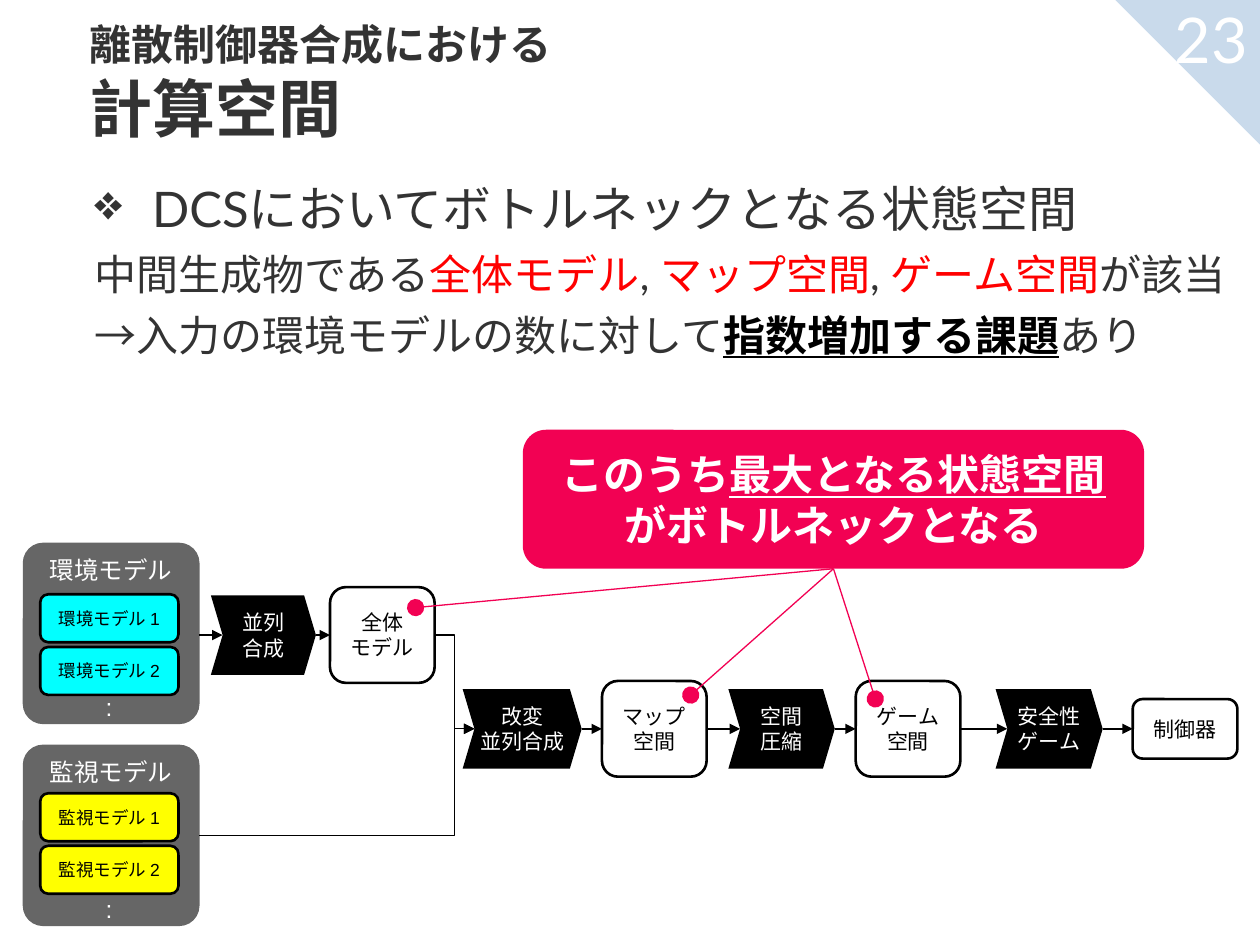
"""Builds the slide on the state spaces of discrete controller synthesis."""
from typing import NamedTuple

from lxml.etree import SubElement
from pptx import Presentation
from pptx.dml.color import RGBColor
from pptx.enum.shapes import MSO_CONNECTOR, MSO_SHAPE
from pptx.enum.text import MSO_ANCHOR, PP_ALIGN
from pptx.oxml.ns import qn
from pptx.util import Pt

COLORS = {
    "ink": "333333", "black": "000000", "white": "FFFFFF", "gray": "666666",
    "cyan": "02FFFF", "yellow": "FFFF00", "red": "FF0000", "pink": "F20153",
    "corner": "C9DAEB",
}
UPPER, LOWER = 362.9, 416.5


class Span(NamedTuple):
    text: str
    size: float
    color: str = "ink"
    font: str = "Arial"
    bold: bool = False
    underline: bool = False


class Node(NamedTuple):
    kind: MSO_SHAPE
    left: float
    middle: float
    width: float
    height: float
    fill: str
    paras: list
    border: str | None = None
    adjustment: float | None = None
    anchor: MSO_ANCHOR = MSO_ANCHOR.MIDDLE
    wrap: bool = True


class Link(NamedTuple):
    start: tuple
    end: tuple
    color: str = "black"
    tail: str = "triangle"
    tail_size: str = "med"
    bend: float | None = None


def rgb(name: str) -> RGBColor:
    return RGBColor.from_string(COLORS[name])


def add_spans(para, spans: list) -> None:
    for item in spans:
        span = para.add_run()
        span.text = item.text
        span.font.size = Pt(item.size)
        span.font.name = item.font
        span.font.bold = item.bold
        span.font.underline = item.underline
        span.font.color.rgb = rgb(item.color)


def fill_text(frame, paras: list, align: PP_ALIGN) -> None:
    for index, spans in enumerate(paras):
        para = frame.add_paragraph() if index else frame.paragraphs[0]
        para.alignment = align
        add_spans(para, spans)


def draw_node(page, node: Node) -> None:
    box = page.shapes.add_shape(
        node.kind, Pt(node.left), Pt(node.middle - node.height / 2),
        Pt(node.width), Pt(node.height))
    box.shadow.inherit = False
    box.fill.solid()
    box.fill.fore_color.rgb = rgb(node.fill)
    if node.border:
        box.line.color.rgb = rgb(node.border)
        box.line.width = Pt(1.5)
    else:
        box.line.fill.background()
    if node.adjustment is not None:
        box.adjustments[0] = node.adjustment
    box.text_frame.word_wrap = node.wrap
    box.text_frame.vertical_anchor = node.anchor
    fill_text(box.text_frame, node.paras, PP_ALIGN.CENTER)


def draw_link(page, link: Link) -> None:
    kind = MSO_CONNECTOR.STRAIGHT if link.bend is None else MSO_CONNECTOR.ELBOW
    line = page.shapes.add_connector(kind, *map(Pt, link.start + link.end))
    line.line.color.rgb = rgb(link.color)
    line.line.width = Pt(0.75)
    properties = line.line._get_or_add_ln()
    SubElement(properties, qn("a:tailEnd"), type=link.tail,
               w=link.tail_size, len=link.tail_size)
    shape_properties = properties.getparent()
    SubElement(shape_properties, qn("a:effectLst"))
    if link.bend is not None:
        guides = shape_properties.find(qn("a:prstGeom")).get_or_add_avLst()
        SubElement(guides, qn("a:gd"), name="adj1", fmla=f"val {round(link.bend * 100000)}")


def add_text(page, left: float, top: float, width: float, height: float, paras: list,
             align: PP_ALIGN = PP_ALIGN.LEFT, anchor: MSO_ANCHOR = MSO_ANCHOR.TOP,
             inset: float = 7.2, wrap: bool = True):
    frame = page.shapes.add_textbox(Pt(left), Pt(top), Pt(width), Pt(height)).text_frame
    frame.word_wrap = wrap
    frame.vertical_anchor = anchor
    frame.margin_left = frame.margin_right = Pt(7.2)
    frame.margin_top = frame.margin_bottom = Pt(inset)
    fill_text(frame, paras, align)
    return frame


def set_indent(para, margin: float, indent: float) -> None:
    properties = para._p.get_or_add_pPr()
    properties.set("marL", str(Pt(margin)))
    properties.set("indent", str(Pt(indent)))


def lines(text: str, size: float, color: str) -> list:
    return [[Span(part, size, color)] for part in text.split("\n")]


def group(middle: float, title: str) -> Node:
    return Node(MSO_SHAPE.ROUNDED_RECTANGLE, 13, middle, 101, 103.7, "gray",
                lines(title, 14, "white"), adjustment=0.115, anchor=MSO_ANCHOR.TOP)


def model(middle: float, fill: str, title: str) -> Node:
    return Node(MSO_SHAPE.ROUNDED_RECTANGLE, 23, middle, 79, 27.4, fill,
                lines(title, 10, "black"), border="black")


def space(left: float, middle: float, title: str, height: float = 54.7) -> Node:
    return Node(MSO_SHAPE.ROUNDED_RECTANGLE, left, middle, 59.8, height, "white",
                lines(title, 12, "black"), border="black")


def process(left: float, middle: float, width: float, title: str) -> Node:
    return Node(MSO_SHAPE.CHEVRON, left, middle, width, 45.4, "black",
                lines(title, 12, "white"), adjustment=0.148, wrap=False)


def draw_corner(page) -> None:
    corner = page.shapes.add_shape(MSO_SHAPE.RIGHT_TRIANGLE, Pt(636), Pt(-1.4), Pt(85), Pt(85))
    corner.rotation = 180
    corner.shadow.inherit = False
    corner.fill.solid()
    corner.fill.fore_color.rgb = rgb("corner")
    corner.line.fill.background()
    add_text(page, 661.7, -7.2, 61.2, 54, [[Span("23", 36, "white", "Lato")]], PP_ALIGN.CENTER)


def draw_body(page) -> None:
    def body(text: str, color: str = "ink", size: float = 24, strong: bool = False) -> Span:
        return Span(text, size, color, "Lato", strong, strong)

    frame = add_text(page, 43.9, 95, 676.1, 211.7, [
        [body("DCSにおいてボトルネックとなる状態空間", size=28)],
        [body("中間生成物である"), body("全体モデル", "red"), body(", "),
         body("マップ空間", "red"), body(", "), body("ゲーム空間", "red"), body("が該当")],
        [body("→入力の環境モデルの数に対して"),
         body("指数増加する課題", "black", strong=True), body("あり")],
    ])
    heading, *details = frame.paragraphs
    set_indent(heading, 36, -33.1)
    properties = heading._p.get_or_add_pPr()
    color = SubElement(properties, qn("a:buClr"))
    SubElement(color, qn("a:srgbClr"), val=COLORS["ink"])
    SubElement(properties, qn("a:buChar"), char="❖")
    for para in details:
        set_indent(para, 2.9, 0)
        para.space_before = Pt(6)


def main() -> None:
    deck = Presentation()
    deck.slide_width, deck.slide_height = Pt(720), Pt(540)
    page = deck.slides.add_slide(deck.slide_layouts[6])

    callout = Node(
        MSO_SHAPE.ROUNDED_RECTANGLE, 298.8, 285.3, 355, 79.4, "pink",
        [[Span("このうち", 24, "white", bold=True),
          Span("最大となる状態空間", 24, "white", bold=True, underline=True),
          Span("がボトルネックとなる", 24, "white", bold=True)]])
    nodes = [
        group(477.4, "監視モデル"), group(362, "環境モデル"),
        model(353.3, "cyan", "環境モデル 1"), model(383.4, "cyan", "環境モデル 2"),
        model(467, "yellow", "監視モデル 1"), model(497, "yellow", "監視モデル 2"),
        process(120.5, UPPER, 60, "並列\n合成"), space(188.6, UPPER, "全体\nモデル"),
        process(264.4, LOWER, 68, "改変\n並列合成"), space(344, LOWER, "マップ空間"),
        process(416.2, LOWER, 60.8, "空間\n圧縮"), space(489, LOWER, "ゲーム空間"),
        process(568.9, LOWER, 61.2, "安全性\nゲーム"), space(647.3, LOWER, "制御器", 34),
        callout,
    ]
    flows = [(114, 127.2, UPPER), (180.5, 188.6, UPPER), (332.4, 344, LOWER),
             (403.8, 422.9, LOWER), (477, 489, LOWER), (548.8, 575.6, LOWER),
             (630.1, 647.3, LOWER)]
    links = [Link((start, y), (end, y)) for start, end, y in flows]
    links += [Link((114, 477.4), (271.1, LOWER), bend=0.928),
              Link((248.4, UPPER), (271.1, LOWER), bend=0.5)]
    links += [Link((476.3, 325), dot, "pink", "oval", "lg")
              for dot in ((237.5, 347.2), (394.7, 397.2), (500.2, 399.4))]

    for node in nodes:
        draw_node(page, node)
    for link in links:
        draw_link(page, link)
    for top in (391.7, 507.6):
        add_text(page, 53.3, top, 18.7, 24.5, lines(":", 14, "white"), inset=3.6, wrap=False)
    draw_corner(page)
    draw_body(page)
    add_text(page, 43.9, 0, 676.1, 90, [
        [Span("離散制御器合成における", 24, font="Roboto", bold=True)],
        [Span("計算空間", 36, font="Roboto", bold=True)],
    ], anchor=MSO_ANCHOR.BOTTOM)
    deck.save("out.pptx")


if __name__ == "__main__":
    main()
